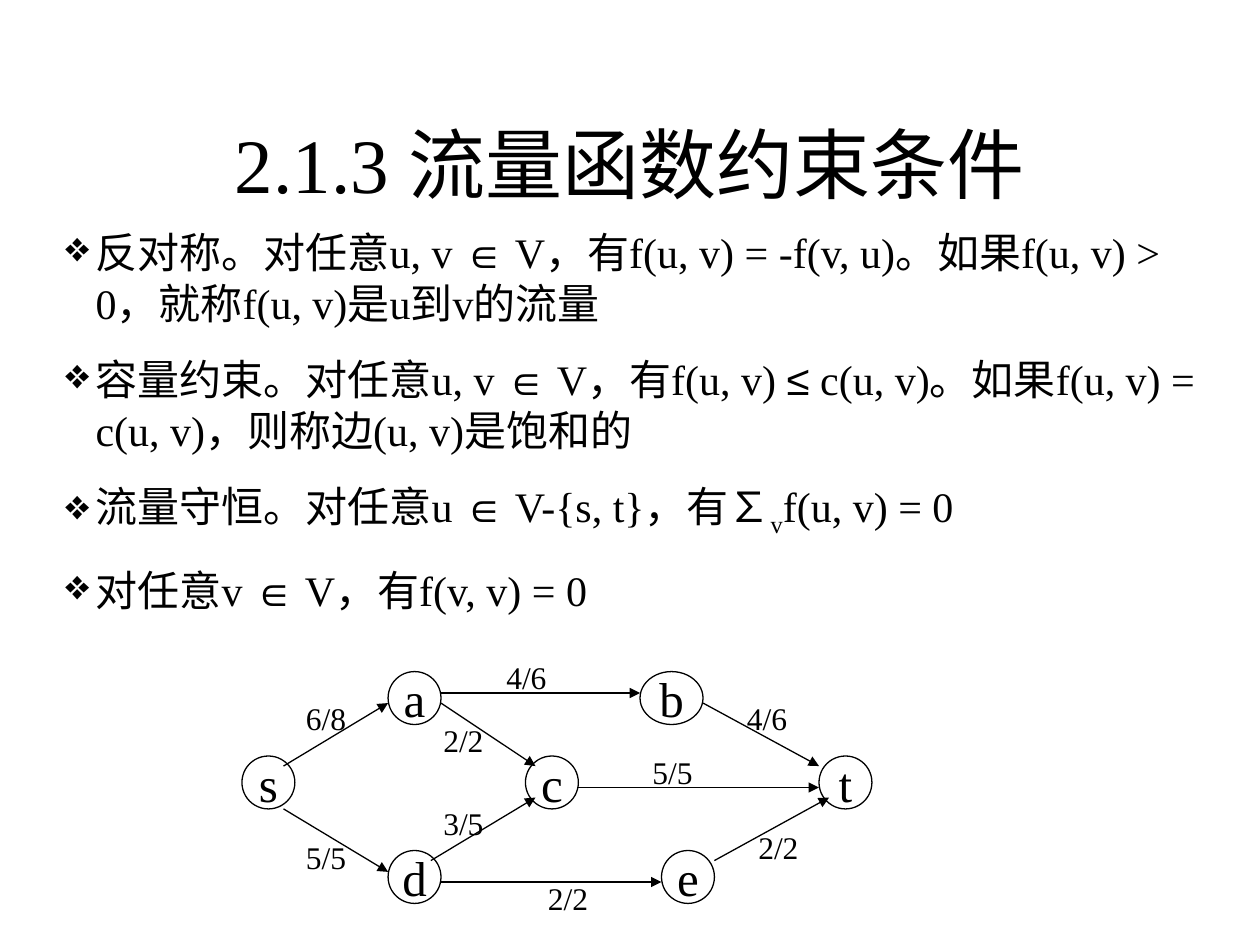
from lxml import etree
from pptx import Presentation
from pptx import util as u
from pptx.dml.color import RGBColor
from pptx.enum import shapes, text
from pptx.oxml import ns

BLACK = RGBColor(0x00, 0x00, 0x00)
WHITE = RGBColor(0xFF, 0xFF, 0xFF)
SERIF = "Times New Roman"
SANS = "Arial"
SYMBOLS = ("∈", "≤", "∑")
SUBSCRIPT = {"v"}

TITLE = "2.1.3 流量函数约束条件"
CONSTRAINTS = [
    ["反对称。对任意u, v ", "∈",
     " V，有f(u, v) = -f(v, u)。如果f(u, v) > 0，就称f(u, v)是u到v的流量"],
    ["容量约束。对任意u, v ", "∈", " V，有f(u, v) ", "≤",
     " c(u, v)。如果f(u, v) = c(u, v)，则称边(u, v)是饱和的"],
    ["流量守恒。对任意u ", "∈", " V-{s, t}，有", "∑", "v", "f(u, v) = 0"],
    ["对任意v ", "∈", " V，有f(v, v) = 0"],
]
NODE_SIZE = 0.42
NODES = [
    ("s", 1.92, 6, NODE_SIZE), ("a", 3.08, 5.33, NODE_SIZE),
    ("b", 5.08, 5.33, 0.5), ("d", 3.08, 6.75, NODE_SIZE),
    ("c", 4.17, 6, NODE_SIZE), ("e", 5.25, 6.75, NODE_SIZE),
    ("t", 6.5, 6, NODE_SIZE),
]
EDGES = [
    ((2.25, 6.08), (3.08, 5.58), "6/8", (2.33, 5.5)),
    ((2.25, 6.42), (3.08, 6.92), "5/5", (2.33, 6.6)),
    ((3.5, 5.5), (5.08, 5.5), "4/6", (3.92, 5.17)),
    ((3.5, 7), (5.25, 7), "2/2", (4.25, 6.93)),
    ((5.58, 5.58), (6.5, 6.08), "4/6", (5.83, 5.5)),
    ((5.67, 6.83), (6.58, 6.33), "2/2", (5.92, 6.52)),
    ((3.5, 5.58), (4.25, 6.08), "2/2", (3.42, 5.67)),
    ((3.42, 6.83), (4.25, 6.33), "3/5", (3.42, 6.33)),
    ((4.58, 6.25), (6.5, 6.25), "5/5", (5.08, 5.93)),
]


class FlowPage:
    """Style and drawing methods for one flow-network page."""

    def __init__(self, page):
        self.page = page
        self.title_size, self.body_size = u.Pt(44), u.Pt(24)
        self.node_size, self.label_size = u.Pt(28), u.Pt(18)
        self.line_width = u.Pt(0.75)

    def span(self, para, words, size, font=SERIF):
        span = para.add_run()
        span.text = words
        span.font.size = size
        span.font.name = font
        span.font.color.rgb = BLACK
        return span

    def title(self, words, left, top, width, height):
        box = self.page.shapes.title
        box.left, box.top = u.Inches(left), u.Inches(top)
        box.width, box.height = u.Inches(width), u.Inches(height)
        frame = box.text_frame
        frame.auto_size = text.MSO_AUTO_SIZE.NONE
        frame.vertical_anchor = text.MSO_ANCHOR.MIDDLE
        para = frame.paragraphs[0]
        para.alignment = text.PP_ALIGN.CENTER
        self.span(para, words, self.title_size)

    def text_frame(self, left, top, width, height):
        box = self.page.shapes.add_textbox(
            u.Inches(left), u.Inches(top), u.Inches(width), u.Inches(height))
        box.text_frame.word_wrap = True
        box.text_frame.auto_size = text.MSO_AUTO_SIZE.SHAPE_TO_FIT_TEXT
        return box.text_frame

    def bullet(self, para):
        props = para._p.get_or_add_pPr()
        props.set("marL", str(u.Inches(0.24)))
        props.set("indent", str(u.Inches(-0.24)))
        color = etree.SubElement(props, ns.qn("a:buClr"))
        etree.SubElement(color, ns.qn("a:srgbClr"), val=str(BLACK))
        etree.SubElement(props, ns.qn("a:buChar"), char="❖")

    def bullets(self, items, left, top, width, height):
        frame = self.text_frame(left, top, width, height)
        for index, pieces in enumerate(items):
            para = frame.add_paragraph() if index else frame.paragraphs[0]
            self.bullet(para)
            para.space_before = u.Pt(15 if index else 0)
            for words in pieces:
                font = SANS if words in SYMBOLS else SERIF
                span = self.span(para, words, self.body_size, font)
                if words in SUBSCRIPT:
                    span.font._element.set("baseline", "-25000")

    def node(self, name, left, top, width):
        oval = self.page.shapes.add_shape(
            shapes.MSO_SHAPE.OVAL, u.Inches(left), u.Inches(top),
            u.Inches(width), u.Inches(NODE_SIZE))
        oval.shadow.inherit = False
        oval.fill.solid()
        oval.fill.fore_color.rgb = WHITE
        oval.line.color.rgb = BLACK
        oval.line.width = self.line_width
        frame = oval.text_frame
        frame.word_wrap = False
        frame.vertical_anchor = text.MSO_ANCHOR.MIDDLE
        para = frame.paragraphs[0]
        para.alignment = text.PP_ALIGN.CENTER
        self.span(para, name, self.node_size)

    def arrow(self, start, end):
        arrow = self.page.shapes.add_connector(
            shapes.MSO_CONNECTOR.STRAIGHT,
            *(u.Inches(value) for value in start + end))
        arrow.line.color.rgb = BLACK
        arrow.line.width = self.line_width
        etree.SubElement(arrow.line._get_or_add_ln(), ns.qn("a:tailEnd"),
                         type="triangle")
        etree.SubElement(arrow._element.spPr, ns.qn("a:effectLst"))

    def label(self, words, left, top):
        frame = self.text_frame(left, top, 0.67, 0.4)
        self.span(frame.paragraphs[0], words, self.label_size)


def main():
    deck = Presentation()
    deck.slide_width, deck.slide_height = u.Inches(10), u.Inches(7.5)
    flow = FlowPage(deck.slides.add_slide(deck.slide_layouts[5]))
    flow.title(TITLE, 0.75, 0.67, 8.5, 1.25)
    flow.bullets(CONSTRAINTS, 0.42, 1.75, 9.25, 3.18)
    for node in NODES:
        flow.node(*node)
    for start, end, _, _ in EDGES:
        flow.arrow(start, end)
    for _, _, words, place in EDGES:
        flow.label(words, *place)
    deck.save("out.pptx")


if __name__ == "__main__":
    main()
